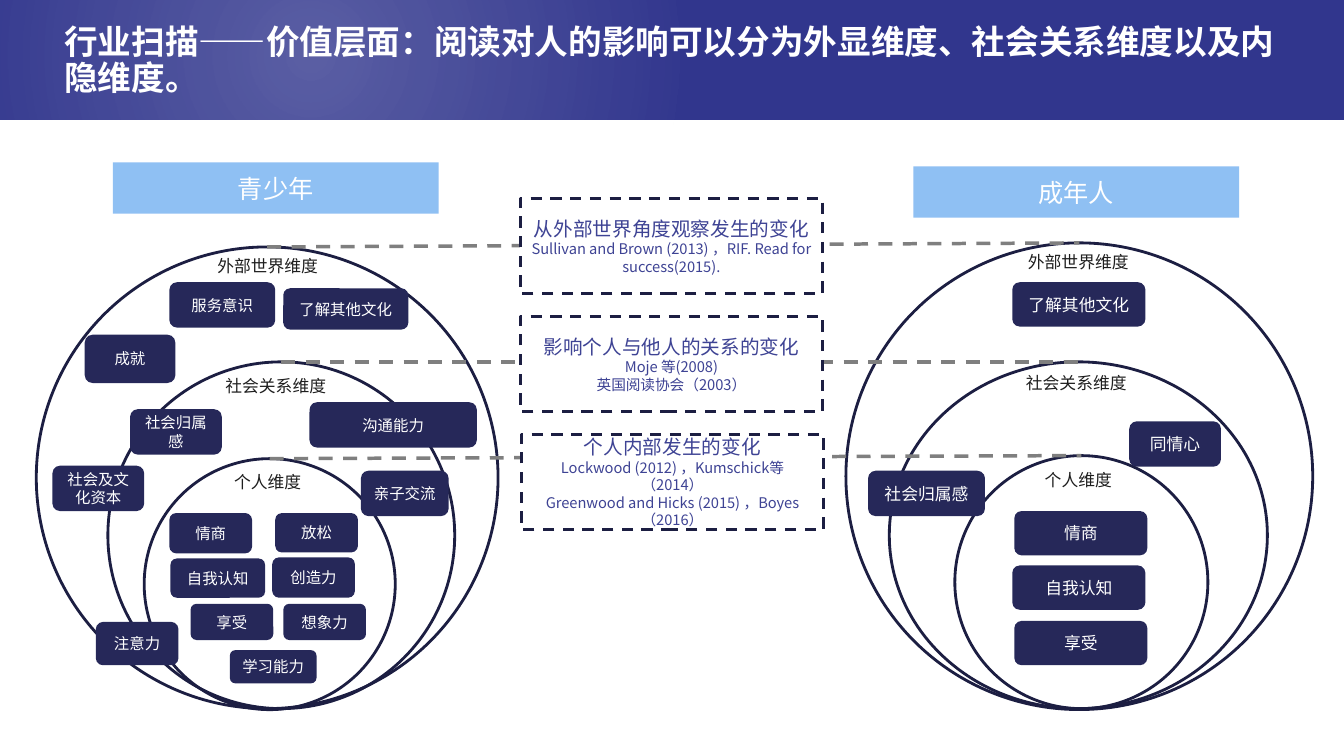
from lxml import etree
from pptx import Presentation
from pptx import util as u
from pptx.dml.color import RGBColor
from pptx.enum import dml, shapes, text
from pptx.oxml import ns

SCALE = 9144  # EMU in one px, 100 px to the inch
FONT = "Noto Sans CJK SC"
NAVY, INK, WHITE = "262859", "1C1E42", "FFFFFF"
KIND = shapes.MSO_SHAPE
MID = text.MSO_ANCHOR.MIDDLE
TOP = text.MSO_ANCHOR.TOP
CENTER = text.PP_ALIGN.CENTER


def px(*vals):
    return [u.Emu(v * SCALE) for v in vals]


def paint(color, hue):
    color.rgb = RGBColor.from_string(hue)


def sub(node, tag, **attrs):
    return etree.SubElement(node, ns.qn(tag), attrs)


class Board:
    def __init__(self, deck):
        self.slide = deck.slides.add_slide(deck.slide_layouts[6])
        self.root = self.slide.shapes
        self.into = self.root

    def group(self):
        """Send the shapes that follow into a new group."""
        self.into = self.root.add_group_shape().shapes

    def ungroup(self):
        self.into = self.root

    def put(self, frame, lines, size=12, hue=WHITE, bold=False,
            align=CENTER, anchor=MID, space=None):
        """Fill a frame; a line is a text or a (text, size) pair."""
        frame.word_wrap = True
        frame.vertical_anchor = anchor
        for i, line in enumerate(lines):
            words, pts = line if isinstance(line, tuple) else (line, size)
            para = frame.paragraphs[0] if i == 0 else frame.add_paragraph()
            para.alignment = align
            if space:
                para.line_spacing = space
            run = para.add_run()
            run.text = words
            font = run.font
            font.size, font.bold, font.name = u.Pt(pts), bold, FONT
            paint(font.color, hue)
            sub(run._r.get_or_add_rPr(), "a:ea", typeface=FONT)

    def shape(self, box, kind=KIND.RECTANGLE, fill=None, line=None, dash=False):
        item = self.into.add_shape(kind, *px(*box))
        item.shadow.inherit = False
        if fill:
            item.fill.solid()
            paint(item.fill.fore_color, fill)
        else:
            item.fill.background()
        if line:
            paint(item.line.color, line)
            item.line.width = u.Pt(2)
            if dash:
                item.line.dash_style = dml.MSO_LINE.DASH
        else:
            item.line.fill.background()
        return item

    def label(self, box, *lines, **style):
        item = self.into.add_textbox(*px(*box))
        self.put(item.text_frame, lines, anchor=TOP, **style)

    def tag(self, box, words, size):
        item = self.shape(box, KIND.ROUNDED_RECTANGLE, NAVY)
        self.put(item.text_frame, [words], size=size)

    def link(self, start, end):
        """Join the tops of two rings with a dashed line."""
        item = self.into.add_connector(shapes.MSO_CONNECTOR.STRAIGHT, 0, 0, 0, 0)
        item.begin_connect(start, 0)
        item.end_connect(end, 0)
        paint(item.line.color, "7F7F7F")
        item.line.width = u.Pt(2.5)
        item.line.dash_style = dml.MSO_LINE.DASH
        sub(item._element.spPr, "a:effectLst")

    def glow(self, box):
        """Add a white radial fade."""
        item = self.shape(box)
        item.fill.gradient()
        grad = item._element.spPr.find(ns.qn("a:gradFill"))
        for child in list(grad):
            grad.remove(child)
        stops = sub(grad, "a:gsLst")
        for pos, alpha in ((0, 20), (66, 0)):
            stop = sub(stops, "a:gs", pos=str(pos * 1000))
            color = sub(stop, "a:srgbClr", val=WHITE)
            sub(color, "a:alpha", val=str(alpha * 1000))
        fade = sub(grad, "a:path", path="circle")
        sub(fade, "a:fillToRect", **dict.fromkeys("ltrb", "50000"))

    def circles(self, rings, names, tags, size):
        """Draw one group of nested rings with names and tags."""
        self.group()
        drawn = [self.shape(box, KIND.OVAL, line=INK) for box in rings]
        for words, (left, top) in zip(LEVELS, names):
            self.label((left, top, 149, 30), words, hue="1E1E1E")
        for words, *box in tags:
            self.tag(box, words, size)
        self.ungroup()
        return drawn


LEVELS = "外部世界维度", "社会关系维度", "个人维度"

YOUTH = [
    ("社会归属感", 129, 406, 91, 45),
    ("沟通能力", 307, 399, 166, 45),
    ("情商", 168, 509, 82, 40),
    ("自我认知", 169, 554, 94, 39),
    ("享受", 189, 599, 82, 36),
    ("放松", 273, 509, 82, 39),
    ("创造力", 270, 553, 82, 40),
    ("想象力", 281, 599, 82, 36),
    ("注意力", 95, 617, 82, 43),
    ("社会及文化资本", 52, 462, 91, 45),
    ("了解其他文化", 281, 286, 124, 41),
    ("服务意识", 168, 280, 105, 45),
    ("亲子交流", 358, 467, 87, 45),
    ("学习能力", 228, 645, 86, 33),
]

ADULT = [
    ("了解其他文化", 1004, 280, 132, 44),
    ("社会归属感", 861, 467, 116, 45),
    ("同情心", 1120, 418, 91, 45),
    ("情商", 1006, 507, 132, 44),
    ("自我认知", 1004, 561, 132, 44),
    ("享受", 1006, 616, 132, 44),
]

NOTES = [
    (516, "从外部世界角度观察发生的变化",
     "Sullivan and Brown (2013) ，RIF. Read for success(2015)."),
    (516, "影响个人与他人的关系的变化", "Moje 等(2008)", "英国阅读协会（2003）"),
    (517, "个人内部发生的变化", "Lockwood (2012) ，Kumschick等（2014）",
     "Greenwood and Hicks (2015) ，Boyes（2016）"),
]


def main():
    deck = Presentation()
    deck.slide_width, deck.slide_height = px(1333, 750)
    board = Board(deck)

    board.shape((0, 0, 1333, 119), fill="31368D")
    board.glow((-247, -17, 1110, 144))

    young = board.circles(
        [(36, 245, 458, 458), (107, 359, 344, 344), (143, 455, 249, 249)],
        [(191, 249), (199, 368), (191, 463)], YOUTH, 11)
    grown = board.circles(
        [(839, 241, 463, 463), (882, 359, 375, 344), (947, 452, 251, 251)],
        [(995, 245), (993, 365), (995, 461)], ADULT, 12)
    for start, end in zip(young, grown):
        board.link(start, end)

    for i, (left, head, *refs) in enumerate(NOTES):
        note = board.shape((left, 197 + 117 * i, 300, 94),
                           fill=WHITE, line=INK, dash=True)
        board.put(note.text_frame, [(head, 14), *((ref, 10.5) for ref in refs)],
                  hue="3E4394")

    for left, top, words in ((112, 161, "青少年"), (906, 165, "成年人")):
        band = board.shape((left, top, 323, 51), fill="8FC0F3")
        board.put(band.text_frame, [words], size=18)

    board.tag((84, 332, 90, 48), "成就", 11)
    board.label((54, 20, 1232, 83),
                "行业扫描——价值层面：阅读对人的影响可以分为外显维度、社会关系维度以及内隐维度。",
                size=24, bold=True, align=text.PP_ALIGN.LEFT, space=0.9)
    deck.save("out.pptx")


if __name__ == "__main__":
    main()
